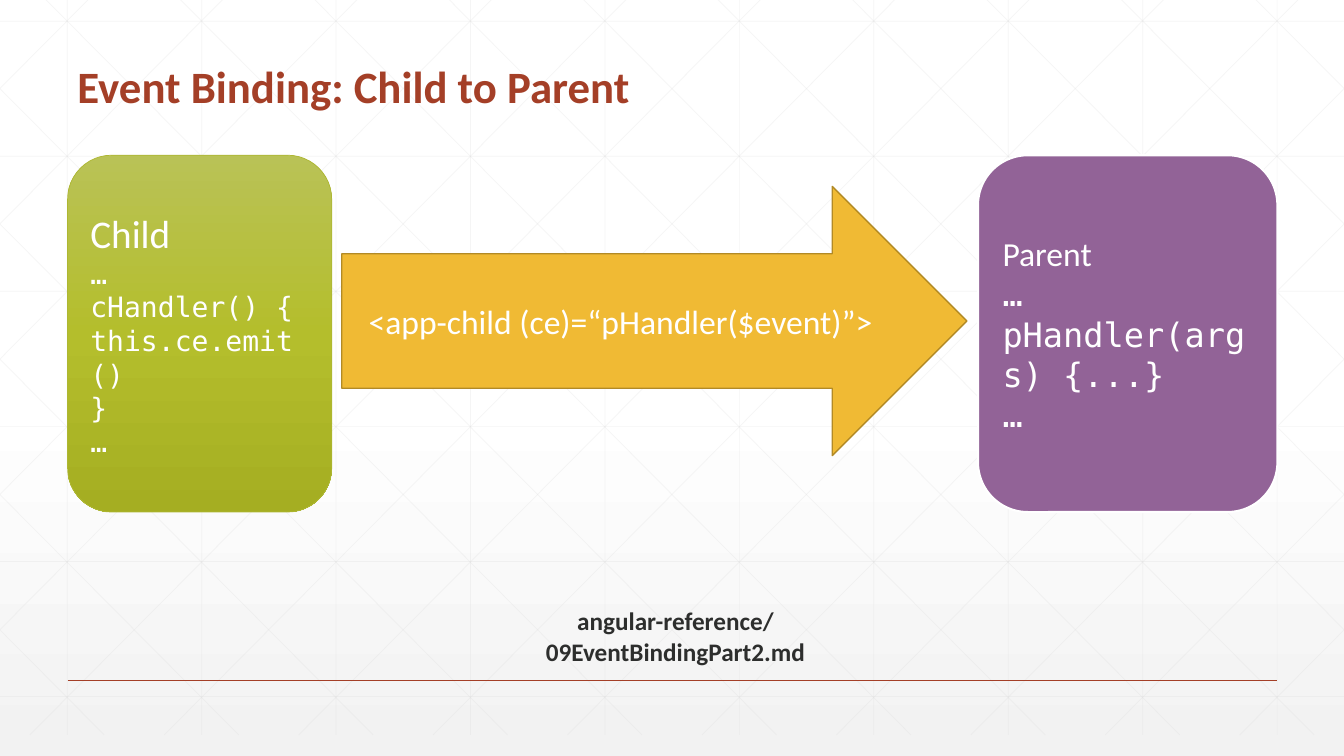
from dataclasses import dataclass

from lxml.etree import SubElement
from pptx import Presentation
from pptx.dml.color import RGBColor as Color
from pptx.enum.shapes import MSO_CONNECTOR as Connector, MSO_SHAPE as Preset
from pptx.enum.text import MSO_ANCHOR as Anchor, MSO_AUTO_SIZE as AutoSize, PP_ALIGN as Align
from pptx.oxml.ns import qn
from pptx.util import Inches, Pt

WIDTH, HEIGHT = 13.33, 7.5


@dataclass(frozen=True)
class Theme:
    """Colours, fonts and type sizes of the slide."""
    accent: str = "A43F27"
    ink: str = "2D2E2D"
    white: str = "FFFFFF"
    grid: str = "D9D9D9"
    arrow: str = "F0BA34"
    arrow_edge: str = "B28A26"
    child_edge: str = "AEB733"
    parent: str = "926397"
    child_stops: tuple = ((0, "B9C256", 100), (50, "B4BE2C", 100), (100, "A5AE22", 100))
    page_stops: tuple = ((0, "FFFFFF", 100), (53, "FFFFFF", 100), (100, "F2F2F2", 65))
    sans: str = "Calibri"
    mono: str = "DejaVu Sans Mono"
    title: int = 32
    heading: int = 28
    body: int = 24
    code: int = 20
    note: int = 18


class SlideBuilder:
    """Draws styled elements on the current slide."""

    def __init__(self, page, theme):
        self.page = page
        self.theme = theme

    def gradient(self, fill, element, stops):
        """Fill with a top-to-bottom gradient."""
        fill.gradient()
        fill.gradient_angle = 270
        stop_list = next(element.iter(qn("a:gsLst")))
        for old_stop in list(stop_list):
            stop_list.remove(old_stop)
        for position, colour, opacity in stops:
            stop = SubElement(stop_list, qn("a:gs"), pos=str(position * 1000))
            shade = SubElement(stop, qn("a:srgbClr"), val=colour)
            if opacity < 100:
                SubElement(shade, qn("a:alpha"), val=str(opacity * 1000))

    def background(self):
        """Shade the page."""
        self.gradient(self.page.background.fill, self.page.element, self.theme.page_stops)

    def line(self, start, end, colour, weight, opacity=100):
        """Draw a straight line."""
        line = self.page.shapes.add_connector(
            Connector.STRAIGHT, *(Inches(value) for value in (*start, *end)))
        line.line.color.rgb = Color.from_string(colour)
        line.line.width = Pt(weight)
        if opacity < 100:
            shade = next(line.element.spPr.iter(qn("a:srgbClr")))
            SubElement(shade, qn("a:alpha"), val=str(opacity * 1000))
        SubElement(line.element.spPr, qn("a:effectLst"))

    def grid_line(self, start, end):
        """Draw one faint line of the backdrop."""
        self.line(start, end, self.theme.grid, 0.5, 25)

    def backdrop(self):
        """Draw the square grid and its two mirrored sets of diagonals."""
        top, bottom, step, run = -0.21, 7.29, 4 / 3, 7.45
        slope = (bottom - top) / run
        for column in range(10):
            x = 2 / 3 + column * step
            self.grid_line((x, top), (x, bottom))
        for row in range(6):
            y = 0.21 + row * 1.34
            self.grid_line((0, y), (WIDTH, y))
        for diagonal in range(-5, 10):
            origin = 0.25 + diagonal * step
            left, right = max(origin, 0), min(origin + run, WIDTH)
            upper, lower = (top + (x - origin) * slope for x in (left, right))
            self.grid_line((left, upper), (right, lower))
            self.grid_line((WIDTH - left, upper), (WIDTH - right, lower))

    def set_text(self, box, lines, colour, align=Align.LEFT, anchor=Anchor.MIDDLE, bold=False):
        """Set lines of (text, font, size) in a box."""
        frame = box.text_frame
        frame.word_wrap = True
        frame.vertical_anchor = anchor
        frame.text = "\n".join(text for text, _, _ in lines)
        for para, (_, font, size) in zip(frame.paragraphs, lines):
            para.alignment = align
            for span in para.runs:
                span.font.name = font
                span.font.size = Pt(size)
                span.font.bold = bold
                span.font.color.rgb = Color.from_string(colour)

    def text(self, place, line, colour, **style):
        """Add a bold text box."""
        box = self.page.shapes.add_textbox(*(Inches(value) for value in place))
        self.set_text(box, [line], colour, bold=True, **style)
        return box

    def shape(self, preset, place, fill, edge, weight, lines, align=Align.LEFT):
        """Add a preset shape with white text; fill is a colour or gradient stops."""
        box = self.page.shapes.add_shape(preset, *(Inches(value) for value in place))
        box.shadow.inherit = False
        if isinstance(fill, str):
            box.fill.solid()
            box.fill.fore_color.rgb = Color.from_string(fill)
        else:
            self.gradient(box.fill, box.element, fill)
        box.line.color.rgb = Color.from_string(edge)
        box.line.width = Pt(weight)
        self.set_text(box, lines, self.theme.white, align)


def main():
    """Build the event binding slide."""
    deck = Presentation()
    deck.slide_width, deck.slide_height = Inches(WIDTH), Inches(HEIGHT)
    theme = Theme()
    builder = SlideBuilder(deck.slides.add_slide(deck.slide_layouts[6]), theme)

    builder.background()
    builder.backdrop()
    builder.line((0.67, 6.75), (12.67, 6.75), theme.accent, 1)

    title = builder.text((0.67, 0.55, 12.01, 0.62),
                         ("Event Binding: Child to Parent", theme.sans, theme.title),
                         theme.accent, anchor=Anchor.BOTTOM)
    title.text_frame.paragraphs[0].line_spacing = 0.9

    builder.shape(Preset.RIGHT_ARROW, (3.39, 1.85, 6.2, 2.67), theme.arrow, theme.arrow_edge, 1,
                  [("<app-child (ce)=“pHandler($event)”>", theme.sans, theme.body)], Align.CENTER)

    child_code = ("…", "cHandler() { this.ce.emit()", "}", "…")
    builder.shape(Preset.ROUNDED_RECTANGLE, (0.67, 1.54, 2.62, 3.54),
                  theme.child_stops, theme.child_edge, 0.5,
                  [("Child", theme.sans, theme.heading)]
                  + [(code, theme.mono, theme.code) for code in child_code])

    parent_code = ("…", "pHandler(args) {...}", "…")
    builder.shape(Preset.ROUNDED_RECTANGLE, (9.7, 1.54, 2.97, 3.54),
                  theme.parent, theme.white, 1.5,
                  [("Parent", theme.sans, theme.body)]
                  + [(code, theme.mono, theme.body) for code in parent_code])

    note = builder.text((4.63, 5.96, 4.14, 0.71),
                        ("angular-reference/09EventBindingPart2.md", theme.sans, theme.note),
                        theme.ink, align=Align.CENTER, anchor=Anchor.TOP)
    note.text_frame.auto_size = AutoSize.SHAPE_TO_FIT_TEXT

    deck.save("out.pptx")


if __name__ == "__main__":
    main()
